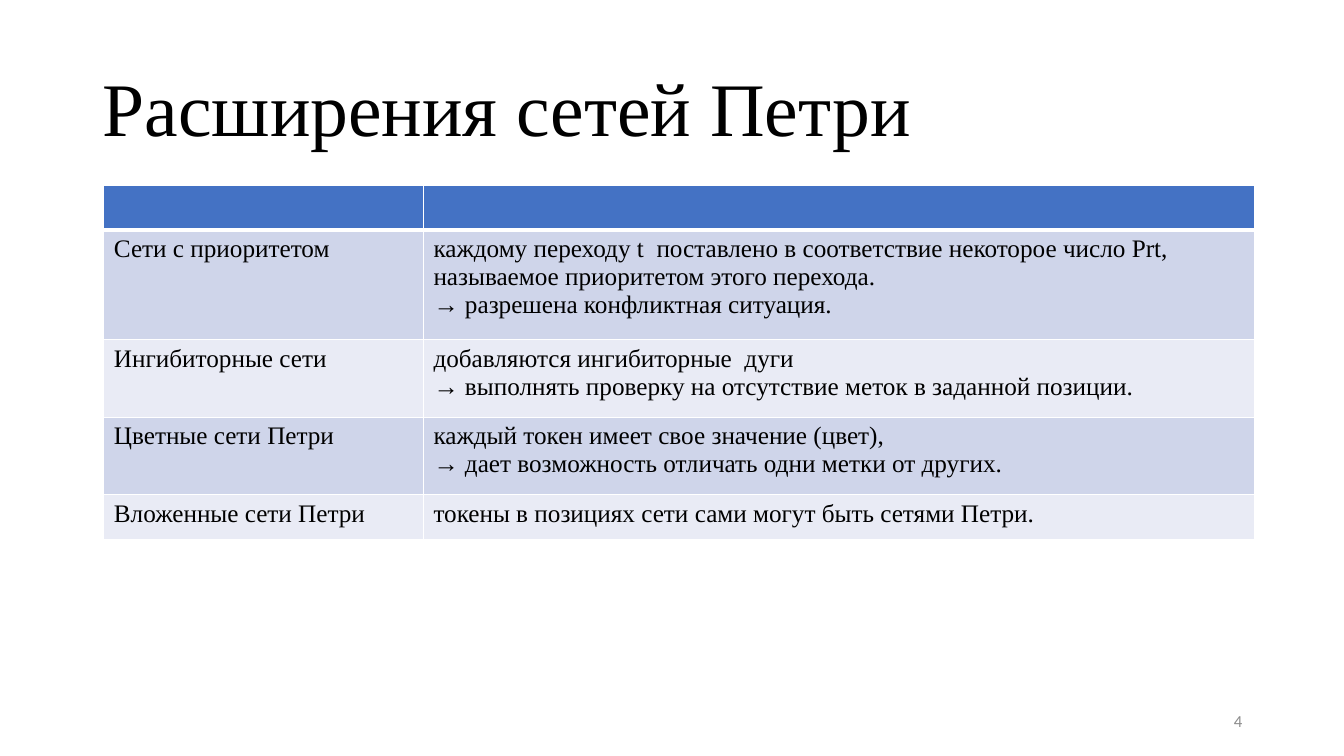
from pptx import Presentation
from pptx import util as u
from pptx.dml.color import RGBColor
from pptx.enum import text
from pptx.oxml import parse_xml
from pptx.oxml.ns import nsdecls

HUES = {"ink": "000000", "gray": "8C8C8C", "rule": "FFFFFF",
        "head": "4472C4", "odd": "CFD5EA", "even": "E9EBF5"}
SERIF = "Times New Roman"
ROWS = [
    ("", ""),
    ("Сети с приоритетом",
     "каждому переходу t  поставлено в соответствие некоторое число Prt, "
     "называемое приоритетом этого перехода.\n→ разрешена конфликтная ситуация."),
    ("Ингибиторные сети",
     "добавляются ингибиторные  дуги\n"
     "→ выполнять проверку на отсутствие меток в заданной позиции."),
    ("Цветные сети Петри",
     "каждый токен имеет свое значение (цвет),\n"
     "→ дает возможность отличать одни метки от других."),
    ("Вложенные сети Петри",
     "токены в позициях сети сами могут быть сетями Петри."),
]


class Deck:
    """Holds the style and the current slide."""

    def __init__(self):
        self.prs = Presentation()
        self.prs.slide_width = u.Inches(13.33)
        self.prs.slide_height = u.Inches(7.5)
        self.slide = self.prs.slides.add_slide(self.prs.slide_layouts[5])

    def style(self, frame, size, face=SERIF, hue="ink", align=text.PP_ALIGN.LEFT):
        for para in frame.paragraphs:
            para.alignment = align
            for run in para.runs:
                run.font.size = u.Pt(size)
                run.font.name = face
                run.font.bold = False
                run.font.color.rgb = RGBColor.from_string(HUES[hue])

    def title(self, words, box):
        head = self.slide.shapes.title
        head.left, head.top, head.width, head.height = map(u.Inches, box)
        frame = head.text_frame
        frame.text = words
        frame.word_wrap = True
        frame.auto_size = text.MSO_AUTO_SIZE.NONE
        frame.vertical_anchor = text.MSO_ANCHOR.MIDDLE
        frame.paragraphs[0].line_spacing = 0.9
        self.style(frame, 54)

    def label(self, words, box):
        frame = self.slide.shapes.add_textbox(*map(u.Inches, box)).text_frame
        frame.text = words
        frame.word_wrap = True
        frame.vertical_anchor = text.MSO_ANCHOR.MIDDLE
        self.style(frame, 12, "Calibri", "gray", text.PP_ALIGN.RIGHT)

    def border(self, cell, side, width):
        props = cell._tc.get_or_add_tcPr()
        props.append(parse_xml(
            f'<a:{side} {nsdecls("a")} w="{u.Pt(width)}"><a:solidFill>'
            f'<a:srgbClr val="{HUES["rule"]}"/></a:solidFill></a:{side}>'))

    def table(self, rows, left, top, wides, highs):
        box = map(u.Inches, (left, top, sum(wides), sum(highs)))
        grid = self.slide.shapes.add_table(len(rows), len(wides), *box).table
        for col, wide in zip(grid.columns, wides):
            col.width = u.Inches(wide)
        for r, (row, high) in enumerate(zip(rows, highs)):
            grid.rows[r].height = u.Inches(high)
            hue = "head" if r == 0 else "odd" if r % 2 else "even"
            for c, words in enumerate(row):
                cell = grid.cell(r, c)
                cell.text_frame.text = words
                self.style(cell.text_frame, 18)
                for side in ("lnL", "lnR", "lnT", "lnB"):
                    thick = (r, side) in ((0, "lnB"), (1, "lnT"))
                    self.border(cell, side, 3 if thick else 1)
                cell.fill.solid()
                cell.fill.fore_color.rgb = RGBColor.from_string(HUES[hue])


def main():
    deck = Deck()
    deck.title("Расширения сетей Петри", (0.92, 0.39, 11.5, 1.45))
    deck.label("4", (9.42, 6.95, 3, 0.4))
    deck.table(ROWS, 1.03, 1.84, (3.17, 8.24), (0.44, 1.09, 0.77, 0.77, 0.44))
    deck.prs.save("out.pptx")


if __name__ == "__main__":
    main()
